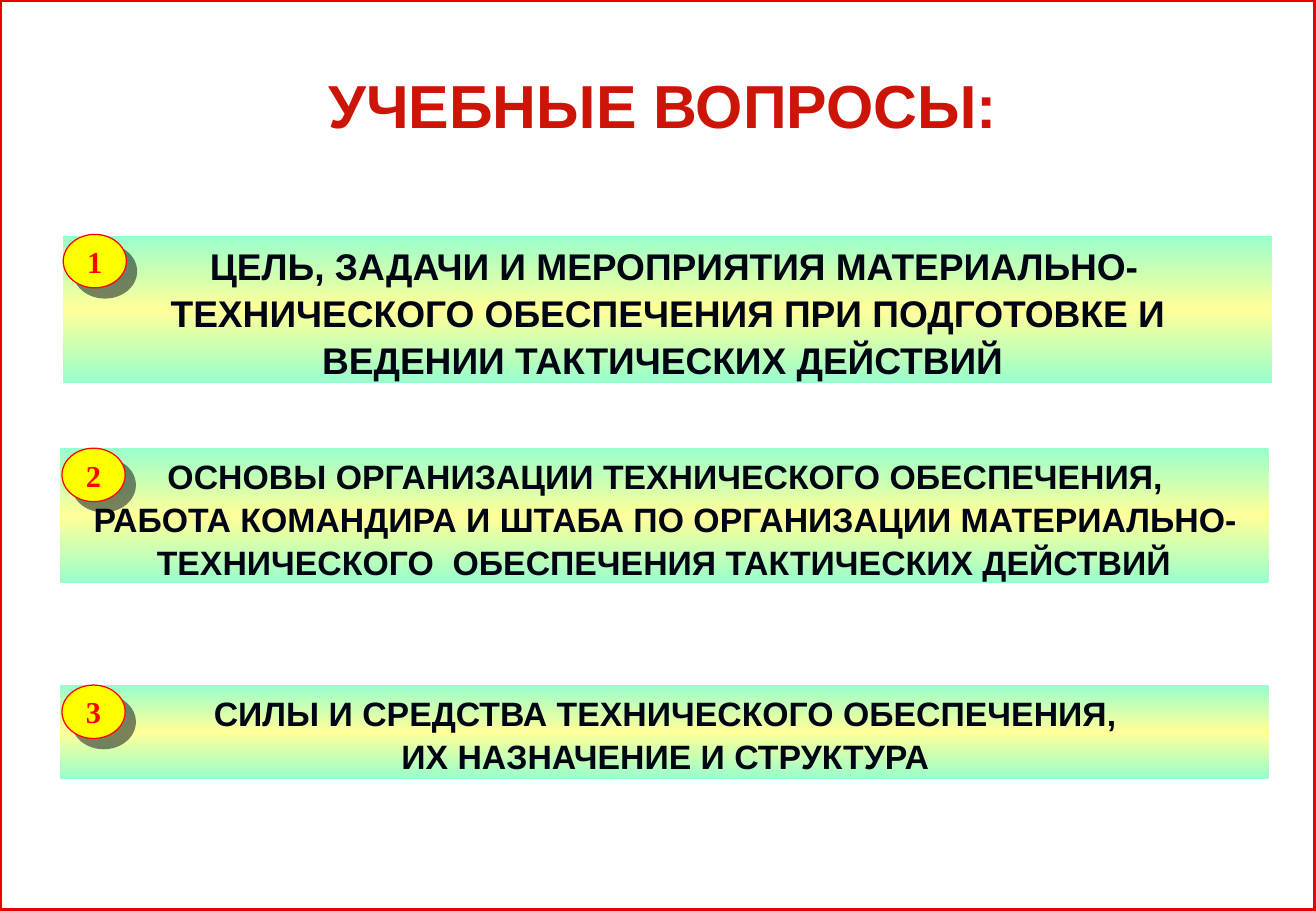
import copy
from dataclasses import dataclass

import pptx
import pptx.dml.color
import pptx.enum.shapes
import pptx.enum.text
import pptx.oxml
import pptx.oxml.ns
import pptx.util

Inches = pptx.util.Inches
Shape = pptx.enum.shapes.MSO_SHAPE
Anchor = pptx.enum.text.MSO_ANCHOR
qn = pptx.oxml.ns.qn


@dataclass(frozen=True)
class Theme:
    white: str = "FFFFFF"
    frame: str = "EA0000"
    title: str = "CD1507"
    ink: str = "000514"
    text_shadow: str = "000000"
    mint: str = "99FFCC"
    cream: str = "FFFF99"
    badge: str = "FFFF00"
    number: str = "FF0000"
    sans: str = "Arial"
    serif: str = "Times New Roman"
    title_size: int = 36
    large_size: int = 22
    body_size: int = 20
    number_size: int = 18
    line_spacing: float = 1.05


def rgb(value):
    return pptx.dml.color.RGBColor.from_string(value)


def shadow_effect(color, distance, alpha):
    return pptx.oxml.parse_xml(
        f'<a:effectLst {pptx.oxml.ns.nsdecls("a")}>'
        f'<a:outerShdw dist="{pptx.util.Pt(distance)}" dir="2700000" algn="ctr" rotWithShape="0">'
        f'<a:srgbClr val="{color}"><a:alpha val="{alpha * 1000}"/></a:srgbClr>'
        "</a:outerShdw></a:effectLst>"
    )


class SlideBuilder:
    def __init__(self, page, theme):
        self.page = page
        self.theme = theme

    def shape(self, kind, left, top, width, height, fill=None, line=None, line_width=0):
        box = self.page.shapes.add_shape(
            kind, Inches(left), Inches(top), Inches(width), Inches(height)
        )
        box.shadow.inherit = False
        if fill:
            box.fill.solid()
            box.fill.fore_color.rgb = rgb(fill)
        if line:
            box.line.color.rgb = rgb(line)
            box.line.width = pptx.util.Pt(line_width)
        else:
            box.line.fill.background()
        return box

    def set_text(self, box, text, size, color, font, anchor=Anchor.TOP, spacing=1.0,
                 indent=0, shadowed=True):
        frame = box.text_frame
        frame.text = text
        frame.word_wrap = True
        frame.auto_size = pptx.enum.text.MSO_AUTO_SIZE.SHAPE_TO_FIT_TEXT
        frame.vertical_anchor = anchor
        for para in frame.paragraphs:
            para.alignment = pptx.enum.text.PP_ALIGN.CENTER
            para.line_spacing = spacing
            if indent:
                para._p.get_or_add_pPr().set("indent", str(Inches(indent)))
            for span in para.runs:
                span.font.size = pptx.util.Pt(size)
                span.font.bold = True
                span.font.color.rgb = rgb(color)
                if shadowed:
                    effect = shadow_effect(self.theme.text_shadow, 3, 100)
                    span._r.get_or_add_rPr().append(effect)
                span.font.name = font

    def frame(self, width, height):
        self.shape(Shape.RECTANGLE, 0, 0, width, height, self.theme.white, self.theme.frame, 3)

    def title(self, text, left, top, width, height):
        box = self.page.shapes.add_textbox(
            Inches(left), Inches(top), Inches(width), Inches(height)
        )
        self.set_text(box, text, self.theme.title_size, self.theme.title, self.theme.sans,
                      spacing=self.theme.line_spacing)

    def banner(self, text, left, top, height, size):
        theme = self.theme
        box = self.shape(Shape.RECTANGLE, left, top, 9.95, height)
        box.fill.gradient()
        box.fill.gradient_angle = 270
        stop_list = box._element.spPr.find(qn("a:gradFill")).find(qn("a:gsLst"))
        stop_list.append(copy.deepcopy(stop_list[0]))
        colors = (theme.mint, theme.cream, theme.mint)
        for index, (stop, color) in enumerate(zip(box.fill.gradient_stops, colors)):
            stop.position = index / 2
            stop.color.rgb = rgb(color)
        self.set_text(box, text, size, theme.ink, theme.sans,
                      spacing=theme.line_spacing, indent=0.02)

    def badge(self, number, left, top):
        theme = self.theme
        box = self.shape(Shape.OVAL, left, top, 0.52, 0.44, theme.badge, theme.number, 0.75)
        properties = box._element.spPr
        properties.replace(properties.find(qn("a:effectLst")), shadow_effect(theme.ink, 8.5, 50))
        frame = box.text_frame
        frame.margin_left = frame.margin_right = frame.margin_top = frame.margin_bottom = Inches(0)
        self.set_text(box, str(number), theme.number_size, theme.number, theme.serif,
                      anchor=Anchor.MIDDLE, shadowed=False)


def main():
    theme = Theme()
    deck = pptx.Presentation()
    deck.slide_width, deck.slide_height = Inches(10.83), Inches(7.5)
    builder = SlideBuilder(deck.slides.add_slide(deck.slide_layouts[6]), theme)

    builder.frame(10.83, 7.5)
    builder.title("УЧЕБНЫЕ ВОПРОСЫ:", 0.41, 0.48, 10.09, 0.7)

    questions = [
        (0.52, 1.94, 1.21, 0.52, 1.93, theme.large_size,
         " ЦЕЛЬ, ЗАДАЧИ И МЕРОПРИЯТИЯ МАТЕРИАЛЬНО-ТЕХНИЧЕСКОГО ОБЕСПЕЧЕНИЯ "
         "ПРИ ПОДГОТОВКЕ И ВЕДЕНИИ ТАКТИЧЕСКИХ ДЕЙСТВИЙ "),
        (0.49, 3.69, 1.11, 0.51, 3.69, theme.body_size,
         " ОСНОВЫ ОРГАНИЗАЦИИ ТЕХНИЧЕСКОГО ОБЕСПЕЧЕНИЯ, \n"
         "РАБОТА КОМАНДИРА И ШТАБА ПО ОРГАНИЗАЦИИ МАТЕРИАЛЬНО-"
         "ТЕХНИЧЕСКОГО  ОБЕСПЕЧЕНИЯ ТАКТИЧЕСКИХ ДЕЙСТВИЙ"),
        (0.49, 5.64, 0.77, 0.51, 5.64, theme.body_size,
         " СИЛЫ И СРЕДСТВА ТЕХНИЧЕСКОГО ОБЕСПЕЧЕНИЯ, \nИХ НАЗНАЧЕНИЕ И СТРУКТУРА"),
    ]
    for number, question in enumerate(questions, 1):
        left, top, height, badge_left, badge_top, size, text = question
        builder.banner(text, left, top, height, size)
        builder.badge(number, badge_left, badge_top)

    deck.save("out.pptx")


if __name__ == "__main__":
    main()
